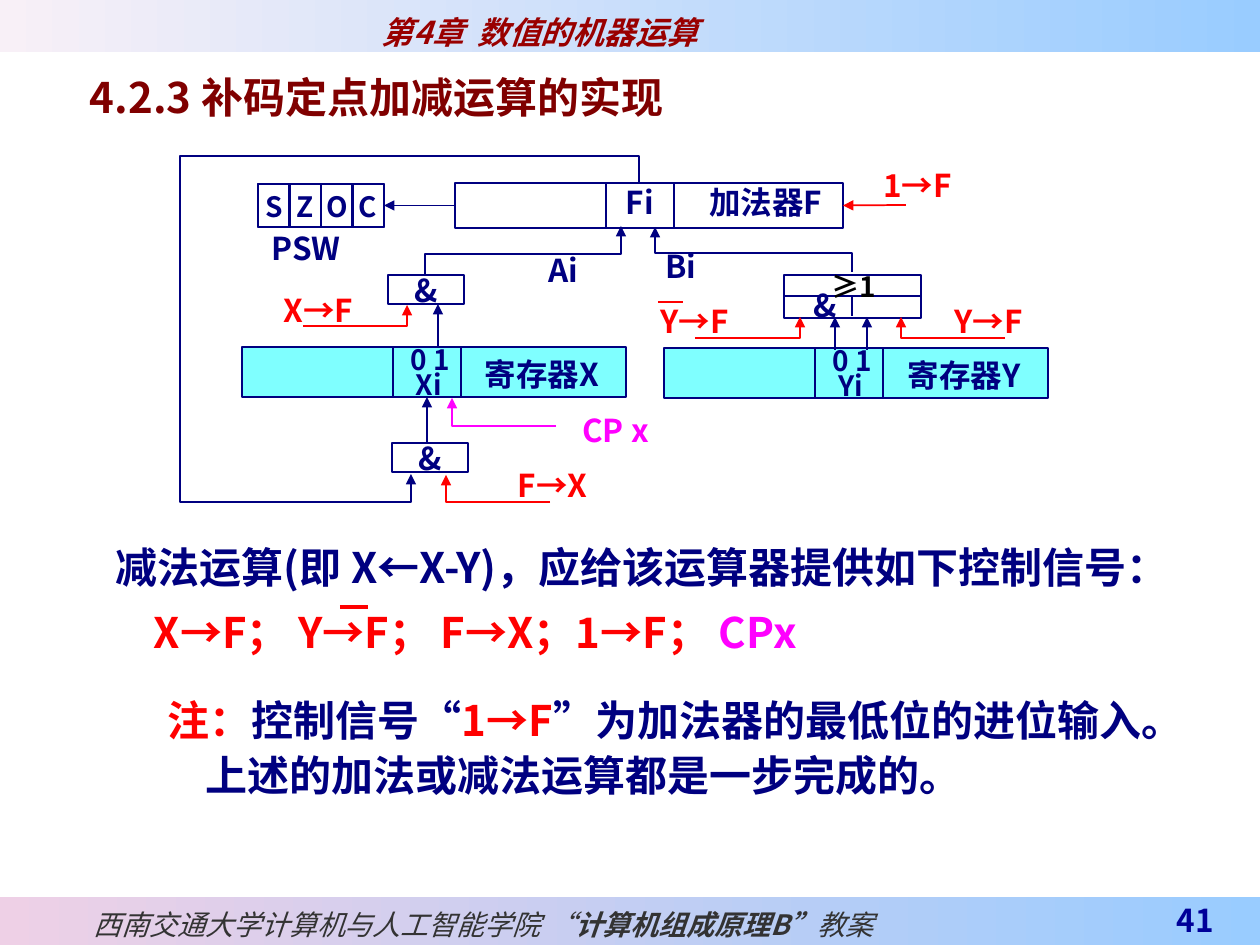
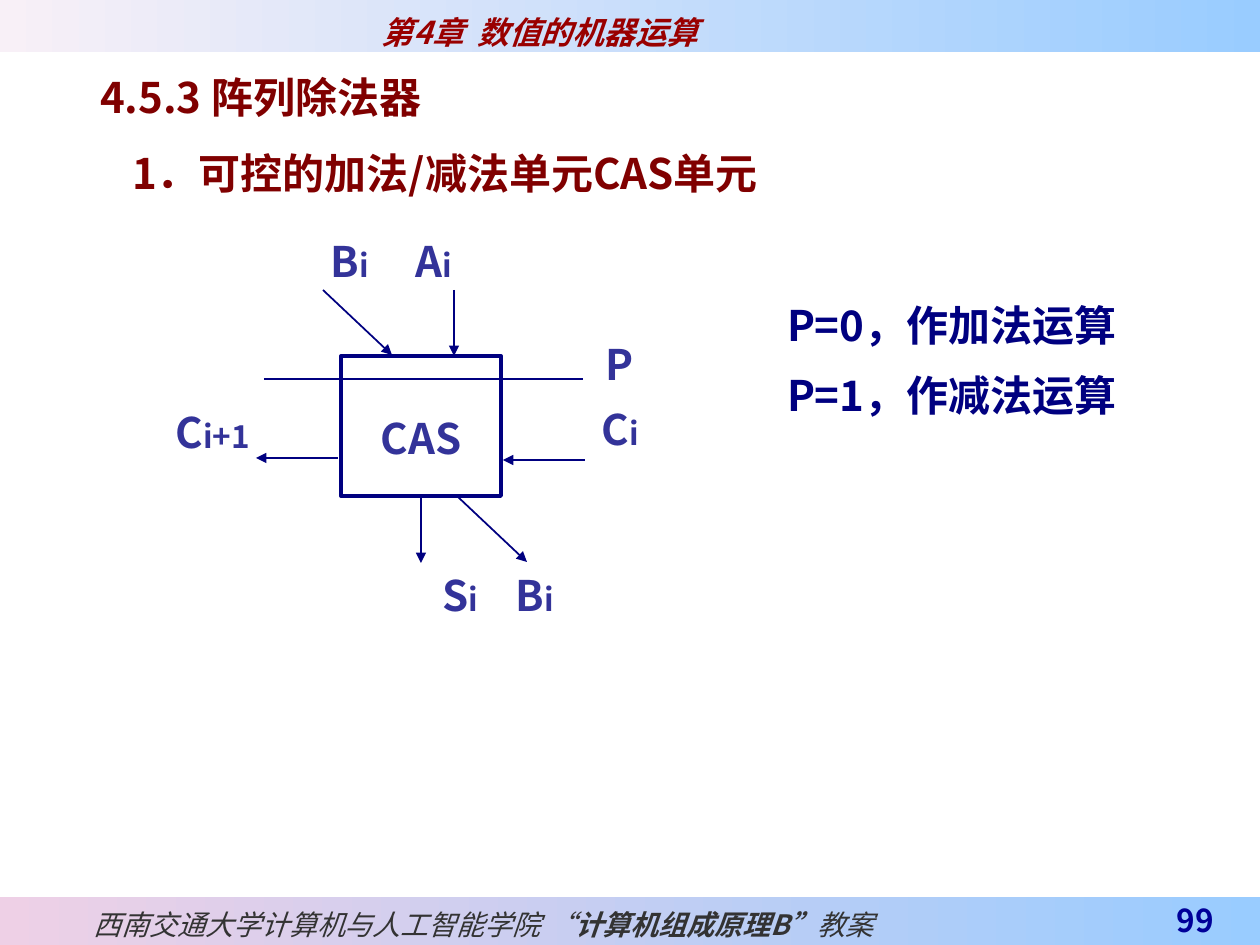
from lxml.etree import SubElement
from pptx import Presentation
from pptx.dml.color import RGBColor
from pptx.enum.shapes import MSO_CONNECTOR, MSO_SHAPE
from pptx.enum.text import MSO_ANCHOR as ANCHOR, MSO_AUTO_SIZE, PP_ALIGN as ALIGN
from pptx.oxml.ns import qn
from pptx.util import Emu, Pt

COLORS = {
    "navy": "000080", "indigo": "333399", "maroon": "800000", "red": "FF0000",
    "magenta": "FF00FF", "cyan": "00FFFF", "white": "FFFFFF", "black": "000000",
    "chapter": "990000", "footer": "333333", "page": "000099",
    "band_blue": "99CCFF", "band_pale": "F8F0F7", "band_pink": "EED0E6",
}
SANS = "Noto Sans CJK SC"
SERIF = "Times New Roman"
LEFT, TOP, RIGHT, BOTTOM = 1, 0, 3, 2  # rectangle connection sites: top 0 to right 3


def px(value):
    return Emu(round(value * 914400 / 126))


def rgb(name):
    return RGBColor.from_string(COLORS[name])


# Text
def add_run(paragraph, text, color="navy", size=18, bold=True, italic=False, latin=SANS):
    run = paragraph.add_run()
    run.text = text
    font = run.font
    font.size, font.bold, font.italic = Pt(size), bold, italic
    font.color.rgb = rgb(color)
    font.name = latin
    east_asian = SubElement(run._r.get_or_add_rPr(), qn("a:ea"))
    east_asian.set("typeface", SANS)


def set_frame(frame, insets=(0, 0, 0, 0), anchor=ANCHOR.TOP):
    frame.auto_size = MSO_AUTO_SIZE.NONE
    frame.word_wrap = True
    frame.vertical_anchor = anchor
    (frame.margin_left, frame.margin_top,
     frame.margin_right, frame.margin_bottom) = map(px, insets)


def write(frame, lines, align=ALIGN.LEFT, spacing=1.0, indents=()):
    """Each line is a list of (text, run options)."""
    for i, runs in enumerate(lines):
        paragraph = frame.paragraphs[0] if i == 0 else frame.add_paragraph()
        properties = paragraph._p.get_or_add_pPr()
        properties.set("marL", str(px(indents[i] if indents else 0)))
        properties.set("indent", "0")
        SubElement(properties, qn("a:buNone"))
        paragraph.alignment = align
        paragraph.line_spacing = spacing
        paragraph.space_before = Pt(0)
        for text, options in runs:
            add_run(paragraph, text, **options)


def fill_placeholder(holder, at, lines, **layout):
    holder.left, holder.top, holder.width, holder.height = map(px, at)
    set_frame(holder.text_frame, (13, 6, 13, 0))
    write(holder.text_frame, lines, **layout)


def text_block(slide, at, lines, **layout):
    block = slide.shapes.add_textbox(*map(px, at))
    set_frame(block.text_frame, (13, 6, 13, 0))
    write(block.text_frame, lines, **layout)


def label(slide, text, x, y, width, **options):
    block = slide.shapes.add_textbox(px(x), px(y), px(width), px(34))
    set_frame(block.text_frame)
    write(block.text_frame, [[(text, options)]], ALIGN.CENTER)


def indexed(slide, letter, index, center, y):
    """A large letter followed by a smaller index, centred on a point."""
    block = slide.shapes.add_textbox(px(center - 60), px(y), px(120), px(66))
    set_frame(block.text_frame)
    write(block.text_frame, [[(letter, BIG), (index, SMALL)]], ALIGN.CENTER)


# Outlines
def style_line(line, color, weight):
    line.color.rgb = rgb(color)
    line.width = Pt(weight)


def add_arrowhead(line):
    SubElement(line._get_or_add_ln(), qn("a:tailEnd")).set("type", "triangle")


def box(slide, at, weight=1.0, fill=None, opacity=None):
    shape = slide.shapes.add_shape(MSO_SHAPE.RECTANGLE, *map(px, at))
    shape.shadow.inherit = False
    style_line(shape.line, "navy", weight)
    if fill:
        shape.fill.solid()
        shape.fill.fore_color.rgb = rgb(fill)
    else:
        shape.fill.background()
    if opacity:
        color = shape._element.spPr.find(qn("a:solidFill"))[0]
        SubElement(color, qn("a:alpha")).set("val", str(opacity * 1000))
    return shape


def box_text(shape, text, top=0, anchor=ANCHOR.TOP, **options):
    set_frame(shape.text_frame, (0, top, 0, 0), anchor)
    write(shape.text_frame, [[(text, options)]], ALIGN.CENTER)


def straight(slide, start, end, color="navy", weight=1.0, arrow=True,
             begin_at=None, end_at=None):
    connector = slide.shapes.add_connector(
        MSO_CONNECTOR.STRAIGHT, *map(px, (*start, *end)))
    if begin_at:
        connector.begin_connect(*begin_at)
    if end_at:
        connector.end_connect(*end_at)
    style_line(connector.line, color, weight)
    if arrow:
        add_arrowhead(connector.line)
    SubElement(connector._element.spPr, qn("a:effectLst"))
    return connector


def bent_arrow(slide, points, color="navy", weight=1.0):
    points = [(px(x), px(y)) for x, y in points]
    builder = slide.shapes.build_freeform(*points[0], scale=1.0)
    builder.add_line_segments(points[1:], close=False)
    path = builder.convert_to_shape()
    path.fill.background()
    style_line(path.line, color, weight)
    add_arrowhead(path.line)
    path.shadow.inherit = False


# Shared frame of every slide
def band(slide, y, height, left_color):
    strip = slide.shapes.add_shape(
        MSO_SHAPE.RECTANGLE, px(0), px(y), px(1260), px(height))
    strip.shadow.inherit = False
    strip.line.fill.background()
    strip.fill.gradient()
    strip.fill.gradient_angle = 0
    for stop, position, color in zip(strip.fill.gradient_stops, (0, 1),
                                     (left_color, "band_blue")):
        stop.position = position
        stop.color.rgb = rgb(color)
    return strip.text_frame


def new_slide(deck, title, title_x, page):
    slide = deck.slides.add_slide(deck.slide_layouts[1])
    chapter = band(slide, 0, 52, "band_pale")
    set_frame(chapter, (382, 6, 13, 0))
    write(chapter, [[("第4章  数值的机器运算", dict(color="chapter", italic=True))]],
          spacing=1.2)

    school = band(slide, 897, 48, "band_pink")
    set_frame(school, (94, 6, 13, 6), ANCHOR.MIDDLE)
    plain = dict(color="footer", size=16, bold=False, italic=True)
    strong = {**plain, "bold": True}
    write(school, [[
        ("西南交通大学计算机与人工智能学院 ", plain), ("“", {**plain, "latin": "Arial"}),
        ("计算机组成", {**strong, "latin": SERIF}), ("原理B”", strong), ("教案", plain),
    ]], spacing=1.2)

    number = slide.shapes.add_textbox(px(1091), px(897), px(136), px(48))
    set_frame(number.text_frame, (13, 0, 13, 6), ANCHOR.BOTTOM)
    write(number.text_frame, [[(page, dict(color="page"))]], ALIGN.RIGHT, 1.2)

    fill_placeholder(slide.shapes.title, (title_x, 66, 1260 - title_x, 57),
                     [[(title, HEADING)]])
    return slide


HEADING = dict(color="maroon", size=24)
BODY = dict(size=24)
RED = dict(color="red", size=24)
BIG = dict(color="indigo", size=24)
SMALL = dict(color="indigo", size=18)


# Addition and subtraction circuit
def register(slide, x, y, name, bit):
    box(slide, (x, y, 384, 50), 1.5, "cyan", 50)
    cell = box(slide, (x + 151, y, 68, 50))
    label(slide, f"寄存器{name}", x + 203, y + 8, 194)
    label(slide, bit, x + 136, y + 21, 102, size=16)
    label(slide, "0 1", x + 137, y - 4, 102, size=16)
    return cell


def status_word(slide):
    for i, flag in enumerate("SZOC"):
        cell = box(slide, (258 + i * 126 // 4, 184, 32, 43), 0.75)
        box_text(cell, flag, top=6, size=16)
    label(slide, "PSW", 253, 229, 106)
    return box(slide, (258, 184, 126, 43), 1.5)


def draw_circuit(slide):
    # Adder and status word
    adder = box(slide, (455, 183, 388, 45), 1.5)
    box_text(box(slide, (606, 183, 68, 45)), "Fi")
    label(slide, "加法器F", 663, 183, 205)
    psw = status_word(slide)
    straight(slide, (455, 205), (384, 205), begin_at=(adder, LEFT), end_at=(psw, RIGHT))
    straight(slide, (906, 205), (843, 205), "red", end_at=(adder, RIGHT))

    # Gates
    for x, y in ((388, 275), (392, 443)):
        box_text(box(slide, (x, y, 76, 29), 1.5, "white"), "&", anchor=ANCHOR.MIDDLE)
    box(slide, (784, 275, 137, 43), 1.5, "white")
    straight(slide, (784, 296), (921, 296), arrow=False)
    straight(slide, (852, 296), (852, 316), arrow=False)
    label(slide, "≥1", 800, 270, 107, size=16, color="black")
    label(slide, "&", 769, 286, 112)

    # Registers and data paths
    x_cell = register(slide, 242, 347, "X", "Xi")
    register(slide, 664, 348, "Y", "Yi")
    straight(slide, (427, 444), (427, 397), end_at=(x_cell, BOTTOM))
    straight(slide, (438, 347), (438, 304))
    for x in (835, 867):
        straight(slide, (x, 350), (x, 317))
    bent_arrow(slide, [(425, 275), (425, 254), (621, 254), (621, 226)])
    bent_arrow(slide, [(852, 272), (852, 253), (655, 253), (655, 227)])
    bent_arrow(slide, [(639, 183), (639, 156), (180, 156), (180, 502),
                       (411, 502), (411, 474)])

    # Control signals: far end x, level y, arrow x, arrow tip y
    for far, level, tip_x, tip_y, color, weight in (
            (1005, 338, 901, 317, "red", 1), (550, 502, 446, 475, "red", 1),
            (556, 426, 452, 398, "magenta", 1), (695, 338, 800, 317, "red", 1),
            (303, 326, 407, 305, "red", 0.75)):
        bent_arrow(slide, [(far, level), (tip_x, level), (tip_x, tip_y)], color, weight)
    for text, x, y, color in (
            ("1→F", 845, 166, "red"), ("Y→F", 916, 302, "red"),
            ("Y→F", 622, 302, "red"), ("X→F", 246, 291, "red"),
            ("F→X", 480, 466, "red"), ("CP x", 543, 411, "magenta"),
            ("Ai", 516, 251, "navy"), ("Bi", 634, 247, "navy")):
        label(slide, text, x, y, 145 if color != "navy" else 144 - 50, color=color) \
            if text in ("Ai", "Bi") else label(slide, text, x, y, 145, color=color)
    straight(slide, (658, 302), (683, 302), "red", 1.5, arrow=False)


def build_adder_slide(deck):
    slide = new_slide(deck, "4.2.3 补码定点加减运算的实现", 77, "41")
    draw_circuit(slide)
    fill_placeholder(slide.placeholders[1], (103, 520, 1157, 139), [
        [("减法运算(即 X←X-Y)，应给该运算器提供如下控制信号：", BODY)],
        [("X→F； Y→F； F→X；1→F； ", RED), ("CPx", dict(color="magenta", size=24))],
    ], spacing=1.3, indents=(0, 38))
    straight(slide, (340, 607), (368, 607), "red", 2.25, arrow=False)
    quote = {**BODY, "latin": SERIF}
    text_block(slide, (78, 683, 1182, 118), [
        [("注：", RED), ("控制信号", BODY), ("“", quote), ("1→F", RED), ("”", quote),
         ("为加法器的最低位的进位输入。", BODY)],
        [("上述的加法或减法运算都是一步完成的。", BODY)],
    ], spacing=1.1, indents=(77, 115))


# Controlled add/subtract cell
def build_divider_slide(deck):
    slide = new_slide(deck, "4.5.3 阵列除法器", 87, "99")
    text_block(slide, (81, 116, 1179, 71),
               [[("1．可控的加法/减法单元CAS单元", HEADING)]], spacing=1.5, indents=(38,))
    fill_placeholder(slide.placeholders[1], (774, 273, 409, 155),
                     [[("P=0，作加法运算", BODY)], [("P=1，作减法运算", BODY)]], spacing=1.4)

    cas = box(slide, (341, 356, 160, 140), 2.25)
    box_text(cas, "CAS", top=57, **BIG)
    for start, end in (((454, 290), (454, 356)), ((323, 290), (392, 355)),
                       ((585, 460), (503, 460)), ((338, 458), (256, 458)),
                       ((458, 497), (527, 562))):
        straight(slide, start, end)
    straight(slide, (421, 496), (421, 563), begin_at=(cas, BOTTOM))
    straight(slide, (264, 379), (583, 379), arrow=False)

    for letter, index, center, y in (("B", "i", 350, 236), ("A", "i", 434, 236),
                                     ("S", "i", 460, 570), ("B", "i", 535, 570),
                                     ("C", "i+1", 213, 407)):
        indexed(slide, letter, index, center, y)
    carry = slide.shapes.add_textbox(px(561), px(323), px(118), px(123))
    set_frame(carry.text_frame)
    write(carry.text_frame, [[("P", BIG)], [("C", BIG), ("i", SMALL)]], ALIGN.CENTER, 1.3)


def main():
    deck = Presentation()
    deck.slide_width, deck.slide_height = px(1260), px(945)
    build_adder_slide(deck)
    build_divider_slide(deck)
    deck.save("out.pptx")


if __name__ == "__main__":
    main()
